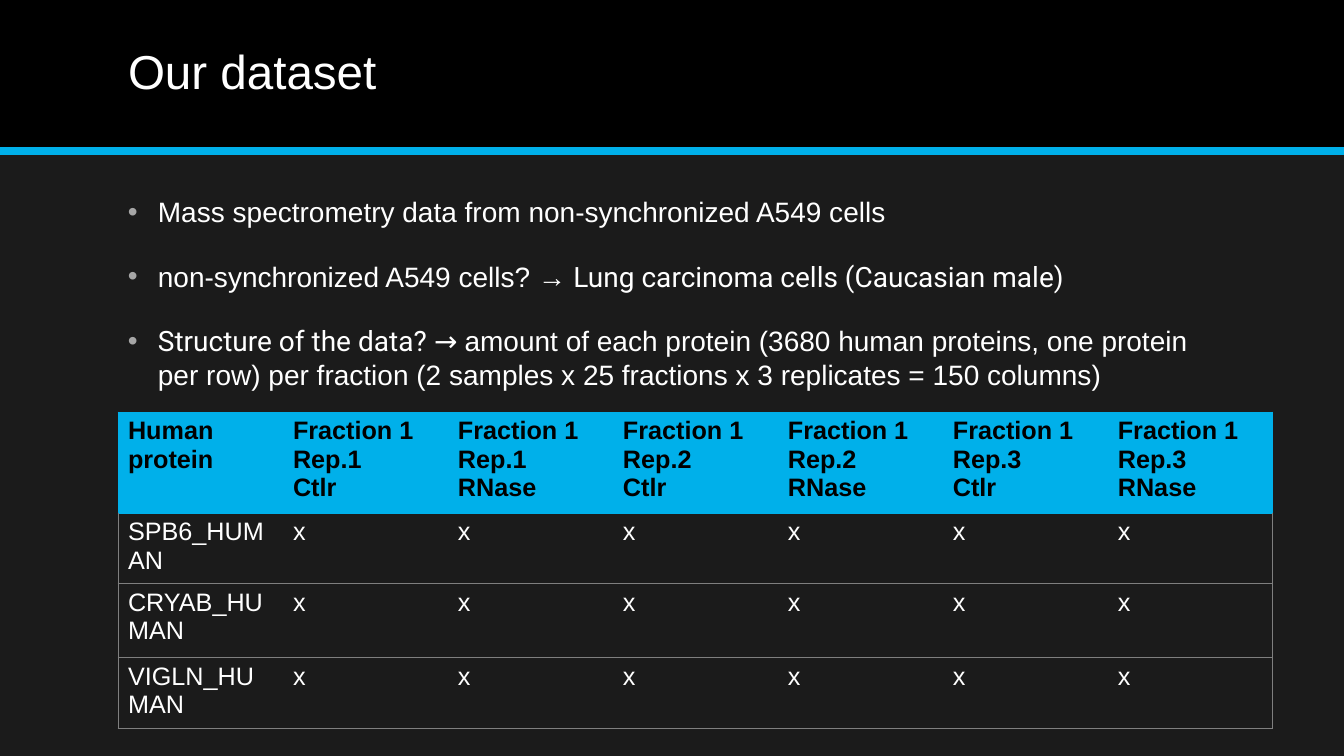
from lxml.etree import SubElement
from pptx import Presentation
from pptx.dml.color import RGBColor
from pptx.enum.shapes import MSO_CONNECTOR as Connector, MSO_SHAPE as Shape
from pptx.enum.text import MSO_ANCHOR as Anchor, PP_ALIGN as Align
from pptx.oxml import parse_xml
from pptx.oxml.ns import nsdecls, qn
from pptx.util import Pt

COLORS = {
    "background": "1B1B1B",
    "band": "000000",
    "accent": "00B0EA",
    "text": "FFFFFF",
    "header_text": "000000",
    "bullet": "A6A6A6",
    "grid": "7F7F7F",
}
EMU_PER_PX = 914400 / 100.8
WIDTH, HEIGHT = 1344, 756
BAND_HEIGHT = 151

POINTS = [
    [("Mass spectrometry data from non-synchronized A549 cells", "Arial")],
    [("non-synchronized A549 cells? →", "Arial"),
     (" Lung carcinoma cells (Caucasian male)", "Roboto")],
    [("Structure of the data? → ", "Roboto"),
     ("amount of each protein (3680 human proteins, one protein per row) "
      "per fraction (2 samples x 25 fractions x 3 replicates = 150 columns)", "Arial")],
]
PROTEINS = ["SPB6_HUMAN", "CRYAB_HUMAN", "VIGLN_HUMAN"]
SAMPLES = [["Fraction 1", f"Rep.{replicate}", treatment]
           for replicate in (1, 2, 3) for treatment in ("Ctlr", "RNase")]
COLUMN_WIDTH = 165
ROW_HEIGHTS = [101, 70, 74, 70]


def px(length):
    return round(length * EMU_PER_PX)


def rgb(name):
    return RGBColor.from_string(COLORS[name])


def add_run(paragraph, text, size, color="text", font="Arial", bold=False):
    run = paragraph.add_run()
    run.text = text
    run.font.size = Pt(size)
    run.font.name = font
    run.font.bold = bold
    run.font.color.rgb = rgb(color)


def add_band(slide, left, top, width, height):
    band = slide.shapes.add_shape(Shape.RECTANGLE, px(left), px(top), px(width), px(height))
    band.shadow.inherit = False
    band.fill.solid()
    band.fill.fore_color.rgb = rgb("band")
    band.line.fill.background()
    rule = slide.shapes.add_connector(
        Connector.STRAIGHT, px(left), px(top + height), px(left + width), px(top + height))
    rule.line.color.rgb = rgb("accent")
    rule.line.width = Pt(6)
    SubElement(rule._element.spPr, qn("a:effectLst"))


def place_title(slide, left, top, width, height):
    title = slide.shapes.title
    title.left, title.top, title.width, title.height = map(px, (left, top, width, height))
    title.text_frame.vertical_anchor = Anchor.MIDDLE
    heading = title.text_frame.paragraphs[0]
    heading.alignment = Align.LEFT
    heading.line_spacing = 0.9
    add_run(heading, "Our dataset", 34)


def add_points(slide, left, top, width, height):
    frame = slide.shapes.add_textbox(px(left), px(top), px(width), px(height)).text_frame
    frame.word_wrap = True
    for index, runs in enumerate(POINTS):
        point = frame.add_paragraph() if index else frame.paragraphs[0]
        point.space_before = Pt(22)
        properties = point._p.get_or_add_pPr()
        properties.set("marL", str(px(30)))
        properties.set("indent", str(-px(30)))
        bullet_color = SubElement(properties, qn("a:buClr"))
        SubElement(bullet_color, qn("a:srgbClr"), val=COLORS["bullet"])
        SubElement(properties, qn("a:buFont"), typeface="Arial")
        SubElement(properties, qn("a:buChar"), char="•")
        for text, font in runs:
            add_run(point, text, 20, font=font)


def set_borders(cell, borders):
    properties = cell._tc.get_or_add_tcPr()
    for position, side in enumerate("LRTB"):
        color = borders.get(side)
        paint = (f'<a:solidFill><a:srgbClr val="{COLORS[color]}"/></a:solidFill>'
                 if color else "<a:noFill/>")
        properties.insert(position, parse_xml(
            f'<a:ln{side} {nsdecls("a")} w="{Pt(0.5)}">{paint}</a:ln{side}>'))


def fill_cell(cell, lines, is_header):
    if is_header:
        cell.fill.solid()
        cell.fill.fore_color.rgb = rgb("accent")
    else:
        cell.fill.background()
    for index, line in enumerate(lines):
        paragraph = cell.text_frame.add_paragraph() if index else cell.text_frame.paragraphs[0]
        add_run(paragraph, line, 18, "header_text" if is_header else "text", bold=is_header)


def add_protein_table(slide, left, top):
    rows = [[["Human protein"], *SAMPLES]]
    rows += [[[protein], *[["x"]] * len(SAMPLES)] for protein in PROTEINS]
    last = len(SAMPLES)
    table = slide.shapes.add_table(
        len(rows), last + 1, px(left), px(top),
        px(COLUMN_WIDTH * (last + 1)), px(sum(ROW_HEIGHTS))).table
    table.horz_banding = False
    for column in table.columns:
        column.width = px(COLUMN_WIDTH)
    for r, row in enumerate(rows):
        table.rows[r].height = px(ROW_HEIGHTS[r])
        edge = "grid" if r else "accent"
        for c, lines in enumerate(row):
            cell = table.cell(r, c)
            fill_cell(cell, lines, r == 0)
            borders = {"T": "grid" if r > 1 else "accent", "B": edge}
            if c == 0:
                borders["L"] = edge
            if c == last:
                borders["R"] = edge
            set_borders(cell, borders)


def build_dataset_slide(deck):
    slide = deck.slides.add_slide(deck.slide_layouts[5])
    slide.background.fill.solid()
    slide.background.fill.fore_color.rgb = rgb("background")
    add_band(slide, 0, 0, WIDTH, BAND_HEIGHT)
    title = slide.shapes.title._element
    title.getparent().append(title)
    place_title(slide, 118, 14, 1109, 121)
    add_points(slide, 118, 190, 1109, 492)
    add_protein_table(slide, 118, 412)


def main():
    deck = Presentation()
    deck.slide_width, deck.slide_height = px(WIDTH), px(HEIGHT)
    build_dataset_slide(deck)
    deck.save("out.pptx")


if __name__ == "__main__":
    main()
